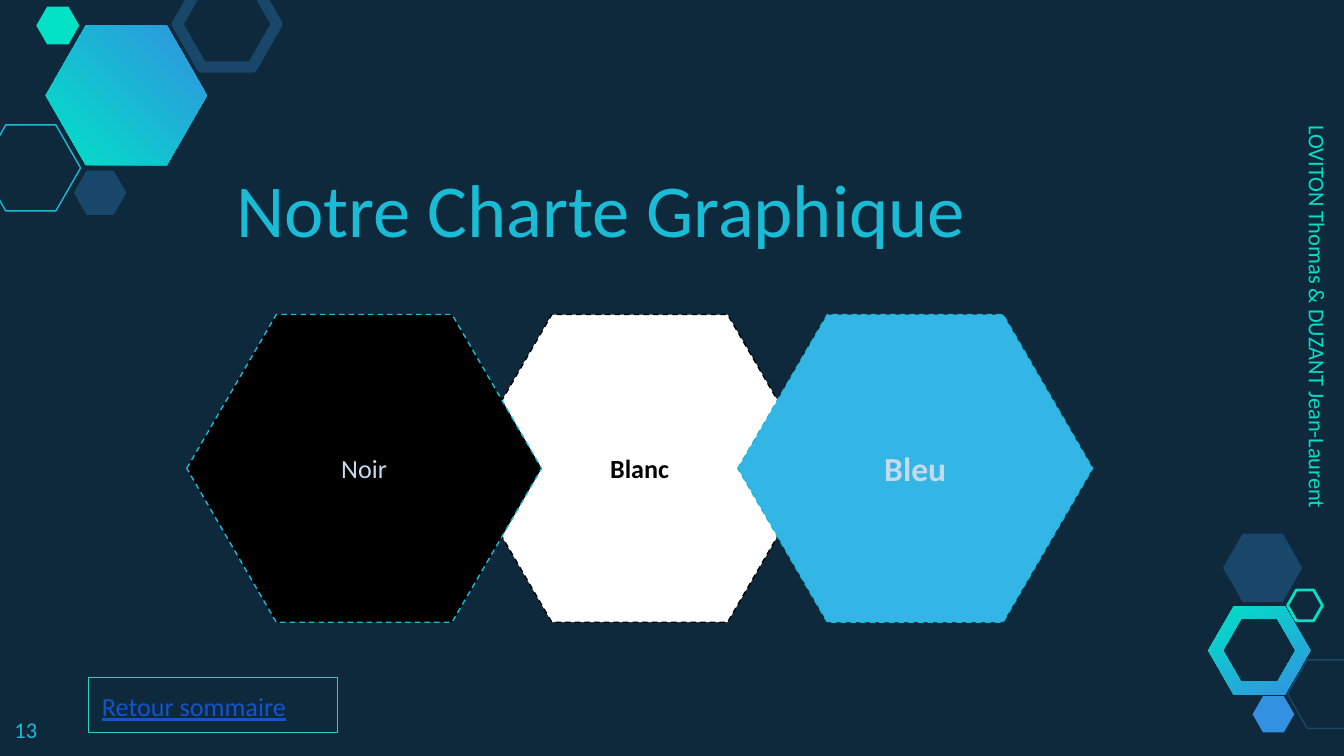
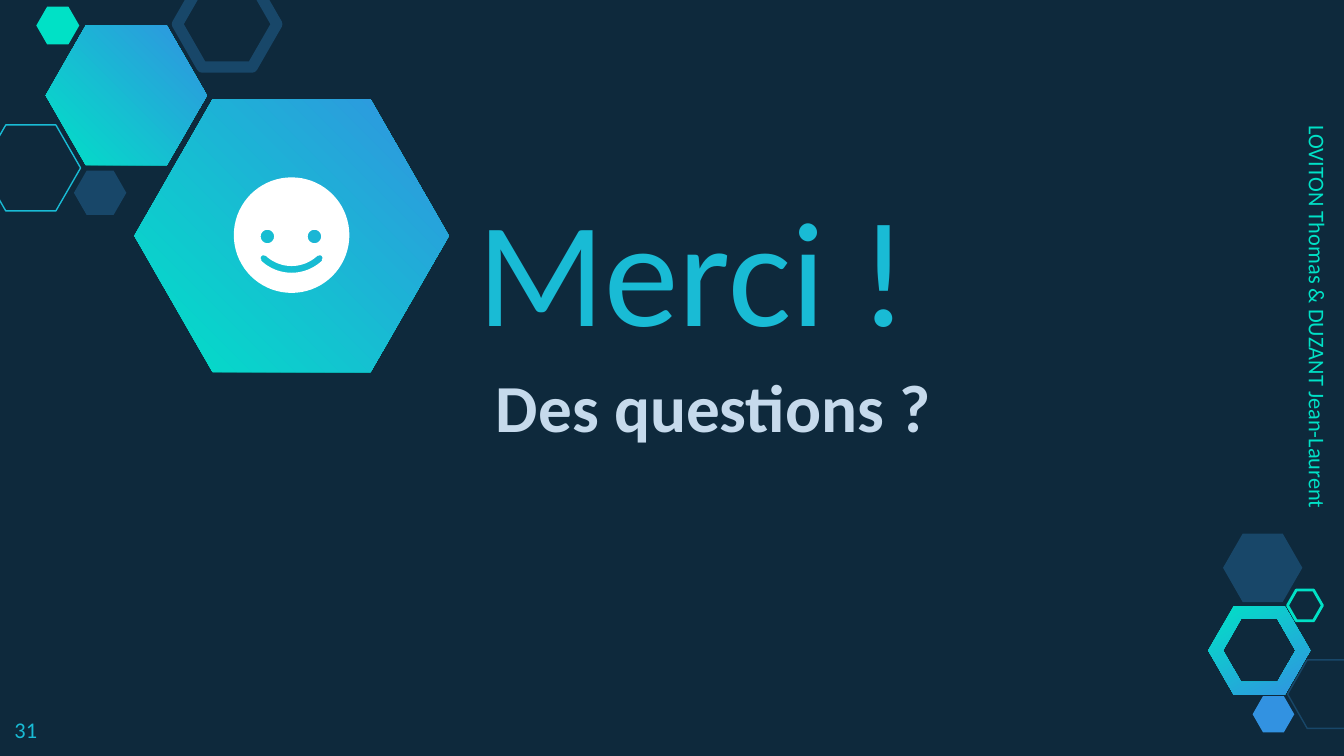
from math import cos, radians, sin

from pptx import Presentation
from pptx.dml.color import RGBColor
from pptx.enum.dml import MSO_LINE
from pptx.enum.shapes import MSO_SHAPE
from pptx.enum.text import MSO_ANCHOR, MSO_AUTO_SIZE, PP_ALIGN
from pptx.util import Inches, Pt

NIGHT = RGBColor(0x0E, 0x29, 0x3C)
NAVY = RGBColor(0x18, 0x47, 0x69)
CYAN = RGBColor(0x19, 0xBB, 0xD5)
TEAL = RGBColor(0x00, 0xE1, 0xC6)
BLUE = RGBColor(0x32, 0x92, 0xE1)
SKY = RGBColor(0x33, 0xB5, 0xE5)
PALE = RGBColor(0xC6, 0xDA, 0xEC)
MINT = RGBColor(0x1E, 0xD7, 0xBE)
LINK = RGBColor(0x11, 0x55, 0xCC)
BLACK = RGBColor(0, 0, 0)
WHITE = RGBColor(255, 255, 255)


def write(shape, text, size, color, bold=False, align=PP_ALIGN.LEFT, anchor=MSO_ANCHOR.TOP):
    frame = shape.text_frame
    frame.text = text
    frame.word_wrap = True
    frame.auto_size = MSO_AUTO_SIZE.NONE
    frame.vertical_anchor = anchor
    frame.margin_left = frame.margin_right = Inches(0.1)
    frame.margin_top = frame.margin_bottom = Inches(0.1)
    line = frame.paragraphs[0]
    line.alignment = align
    font = line.runs[0].font
    font.name, font.size, font.bold = "Calibri", Pt(size), bold
    font.color.rgb = color
    return font


def arc(x, y, radius, start, end, steps=24):
    """Return points along a circle arc, from start to end degrees."""
    turns = [radians(start + (end - start) * i / steps) for i in range(steps + 1)]
    return [(Inches(x + radius * cos(t)), Inches(y + radius * sin(t))) for t in turns]


prs = Presentation()
prs.slide_width, prs.slide_height = Inches(10), Inches(10 * 9 / 16)
master = prs.slide_master
master.background.fill.solid()
master.background.fill.fore_color.rgb = NIGHT
chart = prs.slides.add_slide(prs.slide_layouts[5])
thanks = prs.slides.add_slide(prs.slide_layouts[0])

# Hexagons of the master: left, top, width, height, fill, line, line width
decor = []
for left, top, width, height, fill, line, weight in [
    (0.34, 0.19, 1.2, 1.04, None, None, 0),
    (-0.14, 0.93, 0.74, 0.64, None, CYAN, 0.75),
    (0.55, 1.27, 0.39, 0.33, NAVY, None, 0),
    (1.32, -0.14, 0.74, 0.64, None, NAVY, 6),
    (0.27, 0.05, 0.32, 0.28, TEAL, None, 0),
    (9.58, 4.91, 0.59, 0.51, None, NAVY, 0.75),
    (9.32, 5.18, 0.31, 0.27, BLUE, None, 0),
    (9.1, 3.97, 0.59, 0.51, NAVY, None, 0),
    (9.58, 4.39, 0.26, 0.23, None, TEAL, 1.5),
]:
    hexa = chart.shapes.add_shape(
        MSO_SHAPE.HEXAGON, Inches(left), Inches(top), Inches(width), Inches(height))
    hexa.adjustments[0] = 0.287
    hexa.shadow.inherit = False
    if fill:
        hexa.fill.solid()
        hexa.fill.fore_color.rgb = fill
    else:
        hexa.fill.background()
    if line:
        hexa.line.color.rgb = line
        hexa.line.width = Pt(weight)
    else:
        hexa.line.fill.background()
    decor.append(hexa)

hero = thanks.shapes.add_shape(
    MSO_SHAPE.HEXAGON, Inches(1), Inches(0.74), Inches(2.34), Inches(2.03))
hero.adjustments[0] = 0.287

# Ring of the master and smiling face of the last slide
mouth = (2.17, 1.7)
left_end, right_end = (1.96, 1.92), (2.38, 1.92)
smile = (arc(*mouth, 0.33, 46, 134) + arc(*left_end, 0.02, 134, 314)
         + arc(*mouth, 0.28, 134, 46) + arc(*right_end, 0.02, -134, 46))
ring_lines = [arc(9.37, 4.84, radius, 0, 360, 6) for radius in (0.38, 0.27)]
face_lines = [arc(2.17, 1.75, 0.43, 0, 360, 72), arc(1.99, 1.76, 0.05, 0, 360),
              arc(2.34, 1.76, 0.05, 0, 360), smile]
outlines = []
for slide, lines in [(chart, ring_lines), (thanks, face_lines)]:
    pen = slide.shapes.build_freeform(*lines[0][0])
    pen.add_line_segments(lines[0][1:])
    for points in lines[1:]:
        pen.move_to(*points[0])
        pen.add_line_segments(points[1:])
    outlines.append(pen.convert_to_shape())
ring, face = outlines
face.fill.solid()
face.fill.fore_color.rgb = WHITE
face.shadow.inherit = False
face.line.fill.background()

for shape, angle in [(ring, 300), (decor[0], 45), (hero, 45)]:
    shape.fill.gradient()
    shape.fill.gradient_angle = angle
    for stop, color in zip(shape.fill.gradient_stops, (TEAL, BLUE)):
        stop.color.rgb = color
    shape.shadow.inherit = False
    shape.line.fill.background()

for shape in [ring] + decor:
    master.shapes.element.append(shape.element)

# Titles and text
for slide, text, size, left, top, width, height in [
    (chart, "Notre Charte Graphique", 40, 1.66, 1.27, 6.89, 0.71),
    (thanks, "Merci !", 80, 3.45, 1.48, 4.99, 1.27),
]:
    title = slide.shapes.title
    title.left, title.top = Inches(left), Inches(top)
    title.width, title.height = Inches(width), Inches(height)
    write(title, text, size, CYAN, anchor=MSO_ANCHOR.BOTTOM)

body = thanks.placeholders[1]
body.left, body.top = Inches(3.59), Inches(2.62)
body.width, body.height = Inches(4.99), Inches(2.69)
write(body, "Des questions ?", 36, PALE, bold=True)
body.text_frame.paragraphs[0].space_before = Pt(6)

# Colour samples, the middle one behind its neighbours
for col, name, fill, line, ink, size, bold in [
    (1, "Blanc", WHITE, BLACK, BLACK, 14, True),
    (0, "Noir", BLACK, CYAN, PALE, 14, False),
    (2, "Bleu", SKY, CYAN, PALE, 18, True),
]:
    hexa = chart.shapes.add_shape(
        MSO_SHAPE.HEXAGON, Inches(1.39 + 2.05 * col), Inches(2.34), Inches(2.64), Inches(2.29))
    hexa.adjustments[0] = 0.291
    hexa.shadow.inherit = False
    hexa.fill.solid()
    hexa.fill.fore_color.rgb = fill
    hexa.line.color.rgb = line
    hexa.line.width = Pt(0.75)
    hexa.line.dash_style = MSO_LINE.DASH
    write(hexa, name, size, ink, bold, PP_ALIGN.CENTER, MSO_ANCHOR.MIDDLE)

back = chart.shapes.add_shape(
    MSO_SHAPE.RECTANGLE, Inches(0.66), Inches(5.04), Inches(1.85), Inches(0.41))
back.shadow.inherit = False
back.fill.background()
back.line.color.rgb = MINT
back.line.width = Pt(0.75)
write(back, "Retour sommaire", 14, LINK).underline = True

# Page number and authors
for slide, page in [(chart, "13"), (thanks, "31")]:
    number = slide.shapes.add_textbox(Inches(0.01), Inches(5.23), Inches(0.6), Inches(0.39))
    write(number, page, 12, CYAN)
    names = slide.shapes.add_textbox(Inches(7.44), Inches(3.05), Inches(4.78), Inches(0.35))
    names.rotation = 90
    write(names, "LOVITON Thomas & DUZANT Jean-Laurent", 12, TEAL)

prs.save("out.pptx")
